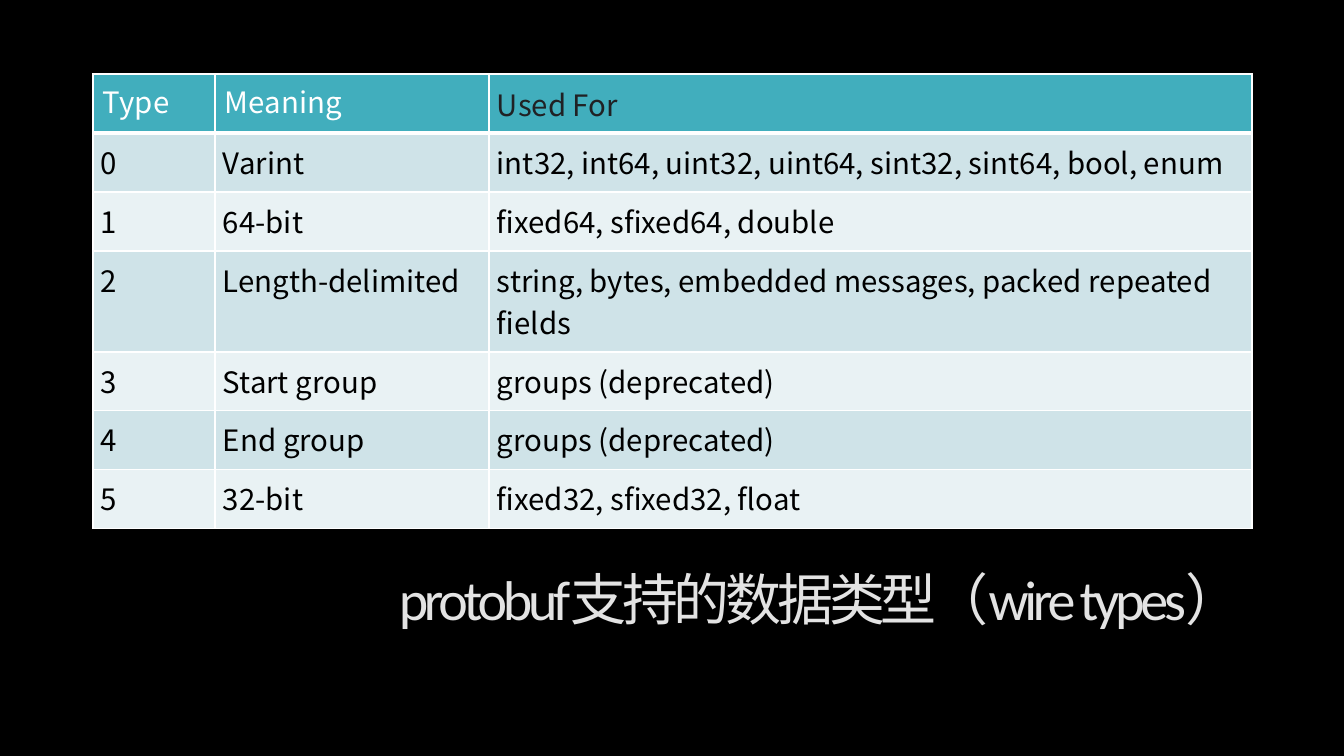
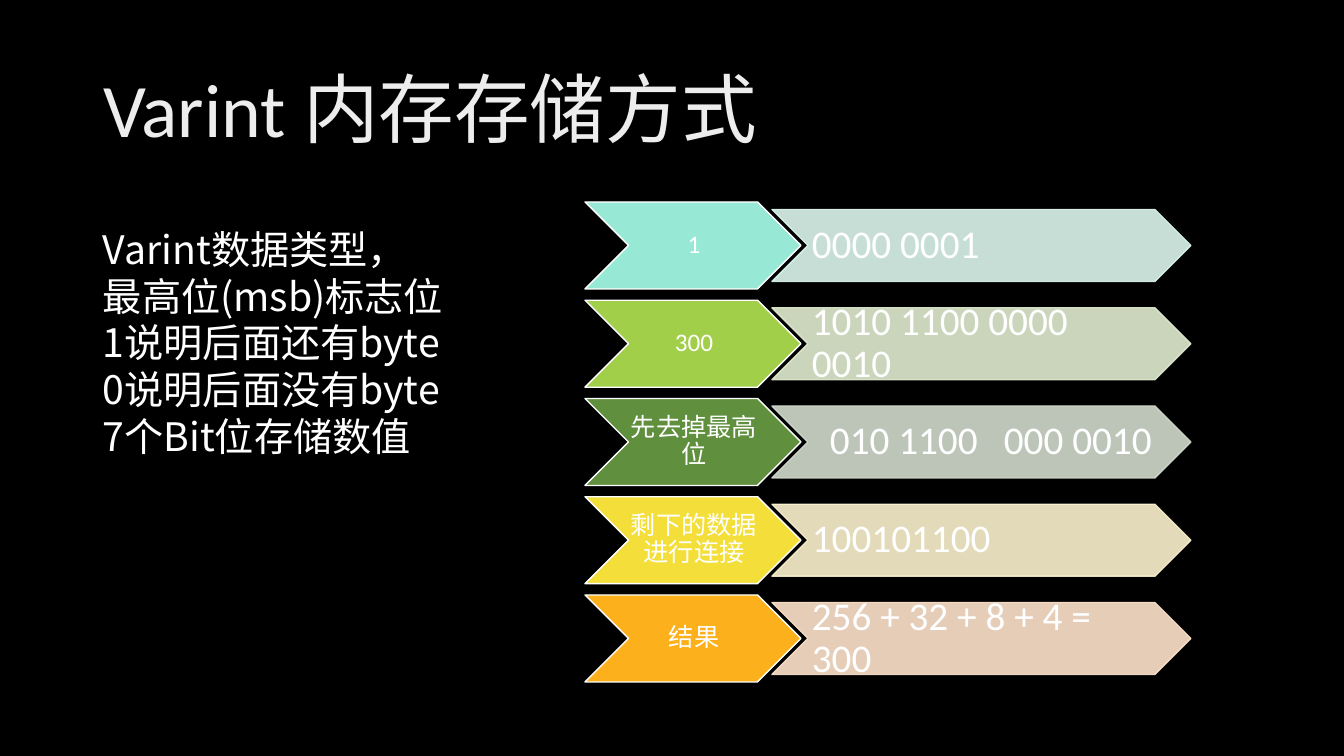
"""Build two slides on protobuf wire types and varint storage."""
from lxml.etree import SubElement
from pptx import Presentation
from pptx.dml.color import RGBColor
from pptx.enum.shapes import MSO_SHAPE
from pptx.enum.text import MSO_ANCHOR, MSO_AUTO_SIZE, PP_ALIGN
from pptx.oxml.ns import qn
from pptx.util import Emu, Pt

W, H = 1344, 756
SCALE = 12192000 / W

THEME = {
    "bg": "000000", "white": "FFFFFF", "dark": "202124", "text": "000000",
    "head": "41AEBD", "bands": ("CFE3E8", "E9F2F4"),
    "latin": "Calibri", "cjk": "Noto Sans CJK SC",
    "table": 21, "label": 18, "body": 28, "line": 1, "rule": 3,
}

TYPES_TITLE = {
    "text": "protobuf支持的数据类型（wire types）",
    "box": (93, 567, 1159, 106), "size": 40, "track": -300, "angle": 135,
    "stops": ((0, "969696"), (32, "E3E3E3"), (100, "FFFFFF")),
    "frame": {"word_wrap": False, "vertical_anchor": MSO_ANCHOR.TOP},
    "align": PP_ALIGN.RIGHT,
}
VARINT_TITLE = {
    "text": "Varint 内存存储方式",
    "box": (93, 40, 1159, 146), "size": 54, "track": 0, "angle": 80,
    "stops": ((0, "BFBFBF"), (28, "EDEDED"), (100, "FFFFFF")),
    "frame": {"word_wrap": True, "vertical_anchor": MSO_ANCHOR.MIDDLE},
    "align": PP_ALIGN.LEFT,
}

WIRE_TYPES = [
    ("Type", "Meaning", "Used For"),
    ("0", "Varint", "int32, int64, uint32, uint64, sint32, sint64, bool, enum"),
    ("1", "64-bit", "fixed64, sfixed64, double"),
    ("2", "Length-delimited",
     "string, bytes, embedded messages, packed repeated fields"),
    ("3", "Start group", "groups (deprecated)"),
    ("4", "End group", "groups (deprecated)"),
    ("5", "32-bit", "fixed32, sfixed32, float"),
]
TABLE_AT = (93, 74)
COLS = (122, 274, 763)
ROW_H, TALL_ROW, TALL_H = 59, 3, 101

NOTES = ["Varint数据类型，", "最高位(msb)标志位", "1说明后面还有byte",
         "0说明后面没有byte", "7个Bit位存储数值"]
NOTES_BOX = (93, 226, 406, 281)

STEPS = [
    ("1", "0000 0001", "97E9D5", "DDF7EF"),
    ("300", "1010 1100 0000 0010", "A2CF49", "E0EDD0"),
    ("先去掉最高位", "\t010 1100\t000 0010", "608F3D", "D2DBCE"),
    ("剩下的数据进行连接", "100101100", "F4DE3A", "FBF2CE"),
    ("结果", "256 + 32 + 8 + 4 = 300", "FCB11C", "FEE4CD"),
]
STEP_TOP, STEP_LAST = 202, 595
LABEL = {"left": 585, "width": 216, "height": 87, "alpha": 100,
         "size": THEME["label"], "align": PP_ALIGN.CENTER, "margins": (2, 1, 0, 1)}
VALUE = {"left": 772, "width": 419, "height": 72, "alpha": 90,
         "size": THEME["body"], "align": PP_ALIGN.LEFT, "margins": (4, 2, 0, 2)}
VALUE_TABS = (18, 192)


def px(n):
    return Emu(round(n * SCALE))


def rgb(value):
    return RGBColor.from_string(value)


def apply(obj, values):
    for name, value in values.items():
        setattr(obj, name, value)


def place(shape, box):
    apply(shape, dict(zip(("left", "top", "width", "height"), map(px, box))))


def set_margins(obj, margins):
    names = ("margin_left", "margin_top", "margin_right", "margin_bottom")
    apply(obj, dict(zip(names, map(px, margins))))


def add_run(p, text, size, color=THEME["white"], latin=THEME["latin"]):
    r = p.add_run()
    r.text = text
    apply(r.font, {"name": latin, "size": Pt(size), "bold": False})
    if color:
        r.font.color.rgb = rgb(color)
    SubElement(r._r.get_or_add_rPr(), qn("a:ea"), typeface=THEME["cjk"])
    return r


def add_gradient(r, stops, angle):
    props = r._r.get_or_add_rPr()
    grad = SubElement(props, qn("a:gradFill"))
    props.insert(0, grad)
    stop_list = SubElement(grad, qn("a:gsLst"))
    for pos, color in stops:
        gs = SubElement(stop_list, qn("a:gs"), pos=str(pos * 1000))
        SubElement(gs, qn("a:srgbClr"), val=color)
    SubElement(grad, qn("a:lin"), ang=str(angle * 60000), scaled="0")


def add_slide(prs, title):
    s = prs.slides.add_slide(prs.slide_layouts[5])
    place(s.shapes.title, title["box"])
    tf = s.shapes.title.text_frame
    apply(tf, {"auto_size": MSO_AUTO_SIZE.NONE, **title["frame"]})
    p = tf.paragraphs[0]
    apply(p, {"alignment": title["align"], "line_spacing": 0.9})
    r = add_run(p, title["text"], title["size"], None)
    r._r.get_or_add_rPr().set("spc", str(title["track"]))
    add_gradient(r, title["stops"], title["angle"])
    return s


def add_borders(cell, widths):
    props = cell._tc.get_or_add_tcPr()
    for side, width in zip("LRTB", widths):
        ln = SubElement(props, qn(f"a:ln{side}"), w=str(Pt(width)))
        fill = SubElement(ln, qn("a:solidFill"))
        SubElement(fill, qn("a:srgbClr"), val=THEME["white"])


def format_cell(cell, text, row, col):
    thin, thick = THEME["line"], THEME["rule"]
    add_borders(cell, (thin, thin, thick if row == 1 else thin,
                       thick if row == 0 else thin))
    cell.fill.solid()
    if row:
        fill, color, margins = THEME["bands"][(row - 1) % 2], THEME["text"], (8, 7, 8, 8)
    elif col == len(COLS) - 1:
        fill, color, margins = THEME["head"], THEME["dark"], (8, 8, 8, 8)
        cell.vertical_anchor = MSO_ANCHOR.MIDDLE
    else:
        fill, color, margins = THEME["head"], THEME["white"], (10, 5, 10, 5)
    cell.fill.fore_color.rgb = rgb(fill)
    set_margins(cell, margins)
    add_run(cell.text_frame.paragraphs[0], text, THEME["table"], color, THEME["cjk"])


def add_types_table(s):
    heights = [TALL_H if i == TALL_ROW else ROW_H for i in range(len(WIRE_TYPES))]
    box = (*TABLE_AT, sum(COLS), sum(heights))
    table = s.shapes.add_table(len(heights), len(COLS), *map(px, box)).table
    apply(table, {"first_row": False, "horz_banding": False})
    for col, width in zip(table.columns, COLS):
        col.width = px(width)
    for i, (texts, height) in enumerate(zip(WIRE_TYPES, heights)):
        table.rows[i].height = px(height)
        for j, text in enumerate(texts):
            format_cell(table.cell(i, j), text, i, j)


def add_notes_box(s):
    tf = s.shapes.add_textbox(*map(px, NOTES_BOX)).text_frame
    tf.word_wrap = True
    for i, text in enumerate(NOTES):
        p = tf.add_paragraph() if i else tf.paragraphs[0]
        apply(p, {"line_spacing": 0.9, "space_after": Pt(3)})
        add_run(p, text, THEME["body"], latin=THEME["cjk"])


def add_chevron(s, kind, middle, text, color, outline):
    box = (kind["left"], middle - kind["height"] / 2, kind["width"], kind["height"])
    sp = s.shapes.add_shape(MSO_SHAPE.CHEVRON, *map(px, box))
    sp.shadow.inherit = False
    sp.fill.solid()
    sp.fill.fore_color.rgb = rgb(color)
    sp.line.color.rgb = rgb(outline)
    sp.line.width = Pt(THEME["line"])
    if kind["alpha"] < 100:
        for clr in sp._element.spPr.iter(qn("a:srgbClr")):
            SubElement(clr, qn("a:alpha"), val=str(kind["alpha"] * 1000))
    tf = sp.text_frame
    apply(tf, {"word_wrap": True, "vertical_anchor": MSO_ANCHOR.MIDDLE})
    set_margins(tf, kind["margins"])
    p = tf.paragraphs[0]
    apply(p, {"alignment": kind["align"], "line_spacing": 0.9})
    if "\t" in text:
        tabs = SubElement(p._p.get_or_add_pPr(), qn("a:tabLst"))
        for pos in VALUE_TABS:
            SubElement(tabs, qn("a:tab"), pos=str(px(pos)), algn="l")
    add_run(p, text, kind["size"])


def add_steps(s):
    pitch = (STEP_LAST - STEP_TOP) / (len(STEPS) - 1)
    for i, (label, value, strong, pale) in enumerate(STEPS):
        middle = STEP_TOP + i * pitch + LABEL["height"] / 2
        add_chevron(s, LABEL, middle, label, strong, THEME["white"])
        add_chevron(s, VALUE, middle, value, pale, pale)


def main():
    prs = Presentation()
    apply(prs, {"slide_width": px(W), "slide_height": px(H)})
    bg = prs.slide_master.background.fill
    bg.solid()
    bg.fore_color.rgb = rgb(THEME["bg"])
    add_types_table(add_slide(prs, TYPES_TITLE))
    s = add_slide(prs, VARINT_TITLE)
    add_notes_box(s)
    add_steps(s)
    prs.save("out.pptx")


if __name__ == "__main__":
    main()
